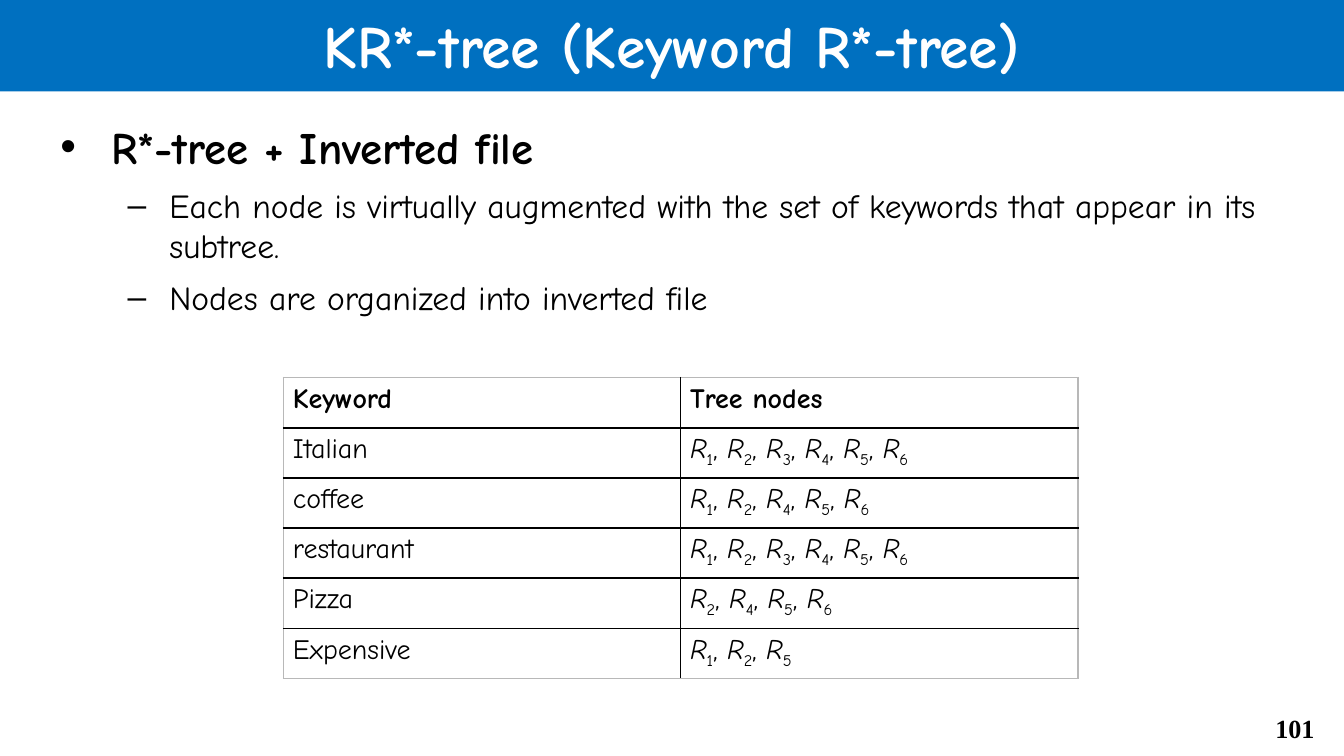
from dataclasses import dataclass

from lxml.etree import SubElement
from pptx import Presentation
from pptx.dml.color import RGBColor
from pptx.enum.text import MSO_ANCHOR, MSO_AUTO_SIZE, PP_ALIGN
from pptx.oxml.ns import qn
from pptx.util import Inches, Pt


@dataclass(frozen=True)
class Theme:
    font: str = "Comic Neue"
    number_font: str = "Times New Roman"
    band: RGBColor = RGBColor(0x00, 0x70, 0xC0)
    white: RGBColor = RGBColor(0xFF, 0xFF, 0xFF)
    black: RGBColor = RGBColor(0x00, 0x00, 0x00)
    frame: RGBColor = RGBColor(0xB8, 0xB8, 0xB8)
    title_size: int = 32
    heading_size: int = 24
    detail_size: int = 18
    table_size: int = 15
    number_size: int = 14


@dataclass(frozen=True)
class Bullet:
    text: str
    level: int
    mark: str
    margin: float
    hanging: float


@dataclass(frozen=True)
class Posting:
    keyword: str
    nodes: tuple[int, ...]


THEME = Theme()
BULLETS = (
    Bullet("R*-tree + Inverted file", 0, "•", 0.38, 0.38),
    Bullet("Each node is virtually augmented with the set of keywords "
           "that appear in its subtree.", 1, "–", 0.81, 0.31),
    Bullet("Nodes are organized into inverted file", 1, "–", 0.81, 0.31),
)
POSTINGS = (
    Posting("Italian", (1, 2, 3, 4, 5, 6)),
    Posting("coffee", (1, 2, 4, 5, 6)),
    Posting("restaurant", (1, 2, 3, 4, 5, 6)),
    Posting("Pizza", (2, 4, 5, 6)),
    Posting("Expensive", (1, 2, 5)),
)


def place(shape, left: float, top: float, width: float, height: float) -> None:
    shape.left, shape.top = Inches(left), Inches(top)
    shape.width, shape.height = Inches(width), Inches(height)


def style(span, size: int, color: RGBColor = THEME.black, bold: bool = False,
          italic: bool = False, font: str = THEME.font) -> None:
    span.font.name = font
    span.font.size = Pt(size)
    span.font.color.rgb = color
    span.font.bold = bold
    span.font.italic = italic


def draw_title(page, text: str) -> None:
    title = page.shapes.title
    place(title, 0, -0.02, 10, 0.7)
    title.fill.solid()
    title.fill.fore_color.rgb = THEME.band
    frame = title.text_frame
    frame.text = text
    frame.auto_size = MSO_AUTO_SIZE.NONE
    frame.vertical_anchor = MSO_ANCHOR.MIDDLE
    para = frame.paragraphs[0]
    para.alignment = PP_ALIGN.CENTER
    style(para.runs[0], THEME.title_size, THEME.white, bold=True)


def draw_bullets(page, bullets: tuple[Bullet, ...]) -> None:
    body = page.placeholders[1]
    place(body, 0.35, 0.84, 9.29, 3.84)
    frame = body.text_frame
    frame.text = "\n".join(bullet.text for bullet in bullets)
    frame.auto_size = MSO_AUTO_SIZE.NONE
    for index, (para, bullet) in enumerate(zip(frame.paragraphs, bullets)):
        para.level = bullet.level
        para.space_before = Pt(6 if index else 0)
        props = para._p.get_or_add_pPr()
        props.set("marL", str(Inches(bullet.margin)))
        props.set("indent", str(-Inches(bullet.hanging)))
        SubElement(props, qn("a:buFont"), typeface="Arial")
        SubElement(props, qn("a:buChar"), char=bullet.mark)
        heading = bullet.level == 0
        size = THEME.heading_size if heading else THEME.detail_size
        style(para.runs[0], size, bold=heading)


def format_cell(cell, outer_sides: set[str]) -> None:
    cell.margin_left = cell.margin_right = Inches(0.07)
    cell.margin_top = cell.margin_bottom = Inches(0.04)
    props = cell._tc.get_or_add_tcPr()
    for side in ("lnL", "lnR", "lnT", "lnB"):
        color = THEME.frame if side in outer_sides else THEME.black
        line = SubElement(props, qn(f"a:{side}"), w=str(Pt(1)))
        fill = SubElement(line, qn("a:solidFill"))
        SubElement(fill, qn("a:srgbClr"), val=str(color))
    cell.fill.background()


def write_cell(cell, text: str, bold: bool = False) -> None:
    cell.text_frame.text = text
    style(cell.text_frame.paragraphs[0].runs[0], THEME.table_size, bold=bold)


def write_nodes(cell, nodes: tuple[int, ...]) -> None:
    para = cell.text_frame.paragraphs[0]
    for index, node in enumerate(nodes):
        pieces = ([", "] if index else []) + ["R", str(node)]
        for piece in pieces:
            span = para.add_run()
            span.text = piece
            style(span, THEME.table_size, italic=piece == "R")
            if piece.isdigit():
                span.font._element.set("baseline", "-25000")


def draw_table(page, postings: tuple[Posting, ...]) -> None:
    frame = page.shapes.add_table(len(postings) + 1, 2, Inches(2.11),
                                  Inches(2.81), Inches(5.91), Inches(2.24))
    table = frame.table
    table.first_row = table.horz_banding = False
    for row in range(len(postings) + 1):
        for column in range(2):
            outer_sides = {"lnR" if column else "lnL"}
            if row == 0:
                outer_sides.add("lnT")
            if row == len(postings):
                outer_sides.add("lnB")
            format_cell(table.cell(row, column), outer_sides)
    for column, heading in enumerate(("Keyword", "Tree nodes")):
        write_cell(table.cell(0, column), heading, bold=True)
    for row, posting in enumerate(postings, start=1):
        write_cell(table.cell(row, 0), posting.keyword)
        write_nodes(table.cell(row, 1), posting.nodes)


def draw_page_number(page, number: str) -> None:
    box = page.shapes.add_textbox(Inches(9.25), Inches(5.25),
                                  Inches(0.63), Inches(0.34))
    frame = box.text_frame
    frame.word_wrap = True
    frame.text = number
    para = frame.paragraphs[0]
    para.alignment = PP_ALIGN.RIGHT
    style(para.runs[0], THEME.number_size, bold=True, font=THEME.number_font)


def main() -> None:
    deck = Presentation()
    deck.slide_width = Inches(10)
    deck.slide_height = deck.slide_width * 9 // 16
    page = deck.slides.add_slide(deck.slide_layouts[1])
    draw_title(page, "KR*-tree (Keyword R*-tree)")
    draw_bullets(page, BULLETS)
    draw_table(page, POSTINGS)
    draw_page_number(page, "101")
    deck.save("out.pptx")


if __name__ == "__main__":
    main()
